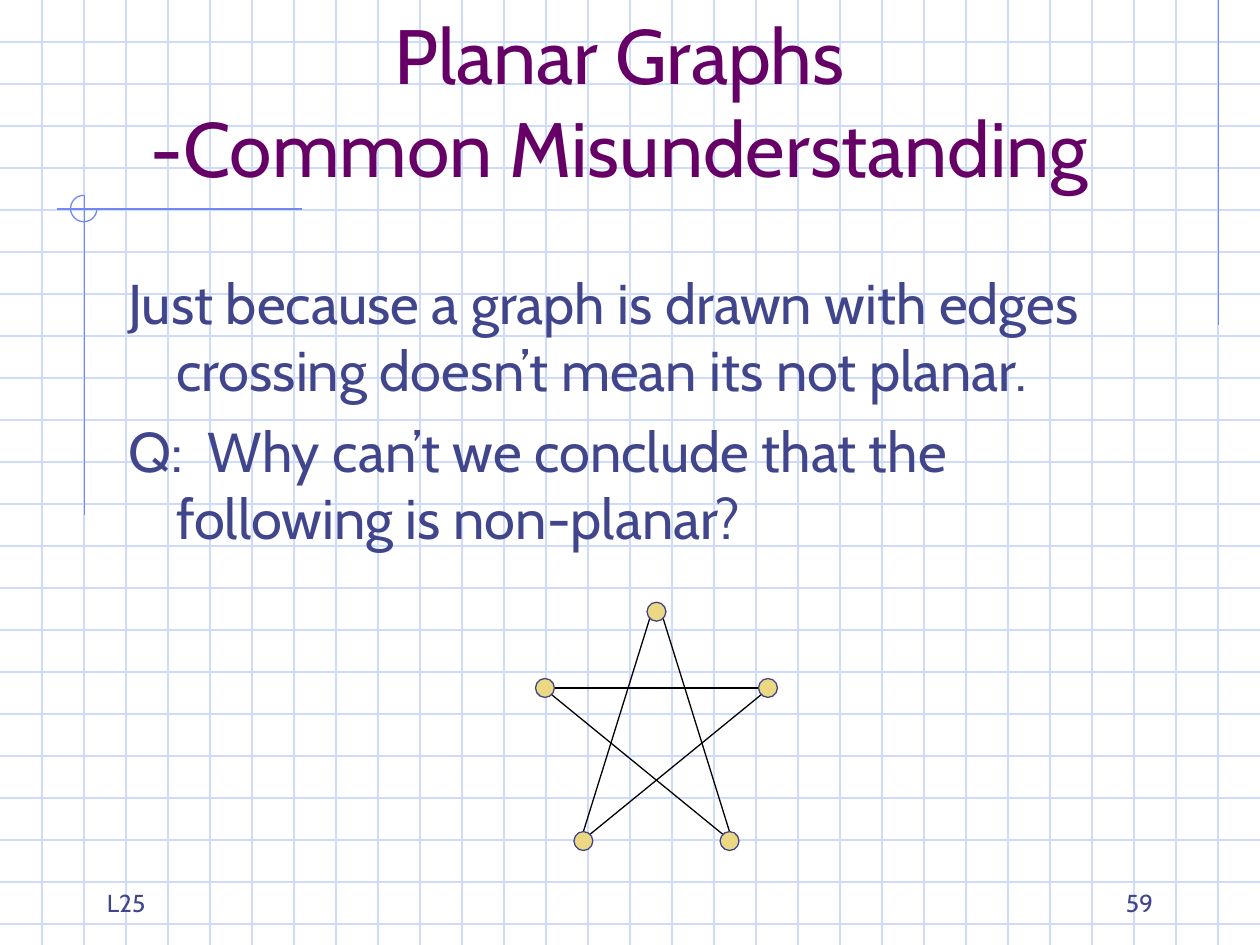
from math import cos, radians, sin

from lxml import etree
from pptx import Presentation
from pptx.dml.color import RGBColor
from pptx.enum.shapes import MSO_CONNECTOR, MSO_SHAPE
from pptx.enum.text import MSO_ANCHOR, MSO_AUTO_SIZE, PP_ALIGN
from pptx.oxml.ns import qn
from pptx.util import Inches, Pt

STRAIGHT = MSO_CONNECTOR.STRAIGHT
OVAL, ARC = MSO_SHAPE.OVAL, MSO_SHAPE.ARC
TOP, BOTTOM = MSO_ANCHOR.TOP, MSO_ANCHOR.BOTTOM
LEFT, CENTER, RIGHT = PP_ALIGN.LEFT, PP_ALIGN.CENTER, PP_ALIGN.RIGHT
FIXED = MSO_AUTO_SIZE.NONE

FONT = "Cabin"
WIDE, HIGH = 10, 7.5
COLORS = {
    "grid": "CFDBFD",
    "trim": "6F89F7",
    "title": "660066",
    "text": "40458C",
    "node": "ECD882",
    "edge": "000000",
}


def color(name):
    """Return the named colour."""
    return RGBColor.from_string(COLORS[name])


def line(slide, start, end, name):
    """Draw a thin straight line between two points."""
    ends = [Inches(n) for n in (*start, *end)]
    link = slide.shapes.add_connector(STRAIGHT, *ends)
    link.line.color.rgb = color(name)
    link.line.width = Pt(0.75)
    etree.SubElement(link._element.spPr, qn("a:effectLst"))


def shape(slide, kind, box, name):
    """Add a thinly outlined shape without shadow."""
    item = slide.shapes.add_shape(kind, *[Inches(n) for n in box])
    item.shadow.inherit = False
    item.line.color.rgb = color(name)
    item.line.width = Pt(0.75)
    return item


def write(para, text, size, name):
    """Add one formatted run to a paragraph."""
    run = para.add_run()
    run.text = text
    run.font.name = FONT
    run.font.size = Pt(size)
    run.font.color.rgb = color(name)


def set_frame(frame, anchor):
    """Make a text frame wrap at a fixed size."""
    frame.word_wrap = True
    frame.auto_size = FIXED
    frame.vertical_anchor = anchor


def add_grid(slide, box, step):
    """Rule the box like squared paper."""
    x, y, w, h = box
    for i in range(1, int(h / step) + 1):
        line(slide, (x, y + i * step), (x + w, y + i * step), "grid")
    for i in range(1, int(w / step)):
        line(slide, (x + i * step, y), (x + i * step, y + h), "grid")


def add_trim(slide, box):
    """Draw the right rule and the crossed rules with their arc."""
    x, y, w, h = box
    line(slide, (9.67, 0), (9.67, 2.58), "trim")
    line(slide, (x + w, y + 0.11), (x, y + 0.11), "trim")
    line(slide, (x + 0.22, y), (x + 0.22, y + h), "trim")
    arc = shape(slide, ARC, (x + 0.11, y, 0.21, 0.21), "trim")
    arc.fill.background()
    arc.adjustments[0] = 0
    arc.adjustments[1] = 162


def add_title(slide, box, lines):
    """Place the title in front of the grid."""
    title = slide.shapes.title
    title.left, title.top, title.width, title.height = map(Inches, box)
    slide.shapes._spTree.append(title._element)
    set_frame(title.text_frame, BOTTOM)
    para = title.text_frame.paragraphs[0]
    para.alignment = CENTER
    for i, text in enumerate(lines):
        if i:
            para.add_line_break()
        write(para, text, 44, "title")


def add_body(slide, box, texts):
    """Write paragraphs with hanging indents."""
    frame = slide.shapes.add_textbox(*map(Inches, box)).text_frame
    set_frame(frame, TOP)
    for i, text in enumerate(texts):
        para = frame.add_paragraph() if i else frame.paragraphs[0]
        props = para._p.get_or_add_pPr()
        props.set("marL", str(Inches(0.38)))
        props.set("indent", str(Inches(-0.38)))
        if i:
            para.space_before = Pt(8)
        write(para, text, 32, "text")


def add_star(slide, box):
    """Draw five nodes joined as a star, rim to rim."""
    x, y, w, h = box
    size = 0.15
    rad = size / 2
    nodes = {
        "top": (x + w / 2, y + rad),
        "left": (x + rad, y + 0.68),
        "right": (x + w - rad, y + 0.68),
        "low left": (x + 0.38, y + h - rad),
        "low right": (x + w - 0.38, y + h - rad),
    }
    edges = [
        ("left", 0, "right", 180),
        ("low left", -45, "right", 135),
        ("low right", -135, "left", 45),
        ("top", 135, "low left", -90),
        ("top", 45, "low right", -90),
    ]

    def rim(node, angle):
        """Return the point on a node's rim at an angle."""
        turn = radians(angle)
        cx, cy = nodes[node]
        return cx + rad * cos(turn), cy + rad * sin(turn)

    for a, out, b, back in edges:
        line(slide, rim(a, out), rim(b, back), "edge")
    for cx, cy in nodes.values():
        dot = shape(slide, OVAL, (cx - rad, cy - rad, size, size), "text")
        dot.fill.solid()
        dot.fill.fore_color.rgb = color("node")


def add_foot(slide, box, text, align):
    """Write one footer label."""
    frame = slide.shapes.add_textbox(*map(Inches, box)).text_frame
    set_frame(frame, BOTTOM)
    para = frame.paragraphs[0]
    para.alignment = align
    write(para, text, 14, "text")


def main():
    """Build and save the slide."""
    deck = Presentation()
    deck.slide_width, deck.slide_height = Inches(WIDE), Inches(HIGH)
    slide = deck.slides.add_slide(deck.slide_layouts[5])
    add_grid(slide, (0, 0, WIDE, HIGH), 1 / 3)
    add_trim(slide, (0.45, 1.55, 1.95, 2.54))
    add_title(slide, (0.67, 0.33, 8.5, 1.25),
              ["Planar Graphs", "-Common Misunderstanding"])
    add_body(slide, (0.92, 2.08, 8.5, 4.5), [
        "Just because a graph is drawn with edges crossing "
        "doesn’t mean its not planar.",
        "Q:  Why can’t we conclude that the following is non-planar?",
    ])
    add_star(slide, (4.25, 4.78, 1.92, 1.97))
    add_foot(slide, (7.17, 6.83, 2.08, 0.5), "59", RIGHT)
    add_foot(slide, (0.75, 6.83, 2.08, 0.5), "L25", LEFT)
    deck.save("out.pptx")


if __name__ == "__main__":
    main()
